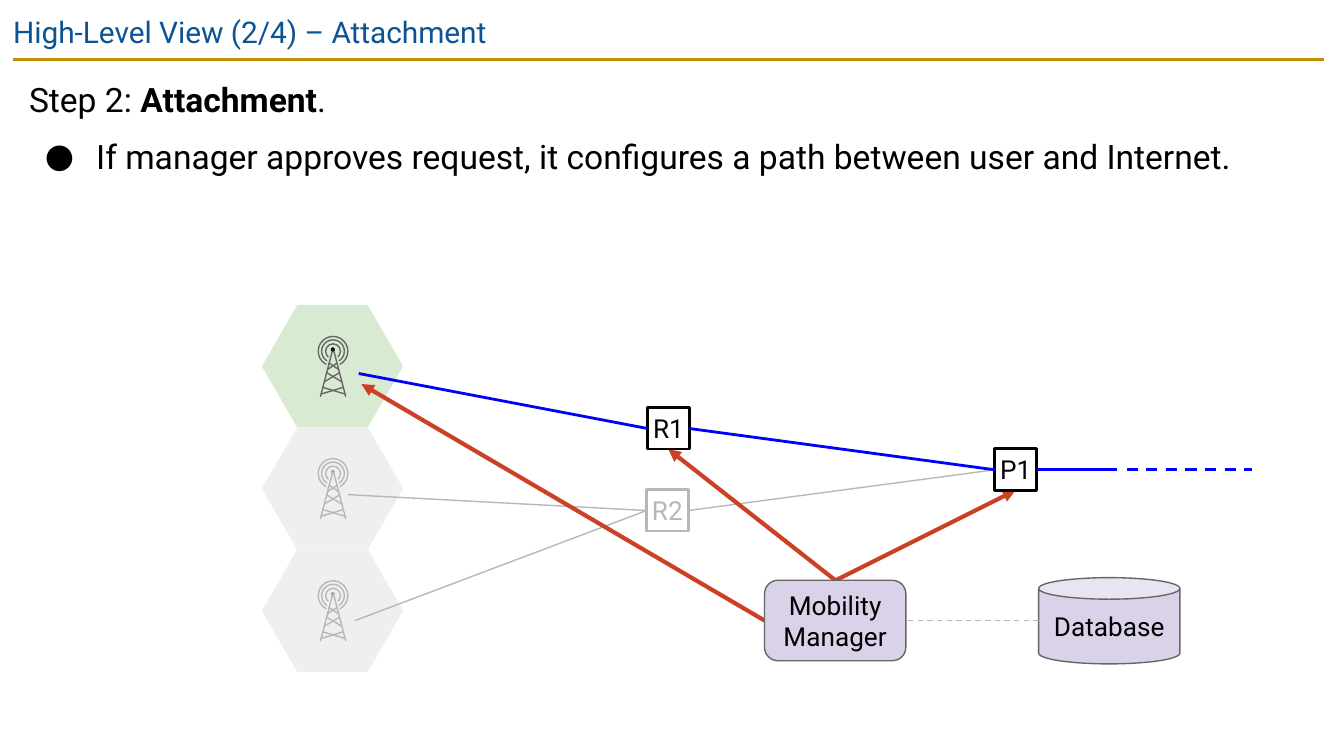
from lxml import etree
from pptx import Presentation
from pptx import util as u
from pptx.dml import color
from pptx.enum import dml, shapes, text
from pptx.oxml import ns

Cm, Pt = u.Cm, u.Pt
KIND = shapes.MSO_SHAPE
BLACK, WHITE, GREY, DARK = "000000", "FFFFFF", "B7B7B7", "666666"
BLUE, RED, LILAC = "0000FF", "CC4125", "D9D2E9"
FONT = "Roboto"


def rgb(value):
    return color.RGBColor.from_string(value)


def apply(obj, values):
    for name, value in values.items():
        setattr(obj, name, value)


def sub(parent, tag, **attrs):
    return etree.SubElement(parent, ns.qn(tag), attrs)


def set_margins(tf, margin):
    sides = ("left", "right", "top", "bottom")
    apply(tf, {f"margin_{side}": Cm(margin) for side in sides})


def add_run(p, words, size, tint, bold=False):
    r = p.add_run()
    r.text = words
    apply(r.font, {"name": FONT, "size": Pt(size), "bold": bold})
    r.font.color.rgb = rgb(tint)


def add_text(s, x, y, w, h):
    tf = s.shapes.add_textbox(Cm(x), Cm(y), Cm(w), Cm(h)).text_frame
    apply(tf, {"word_wrap": True, "vertical_anchor": text.MSO_ANCHOR.TOP})
    set_margins(tf, 0.25)
    return tf


def add_shape(parent, kind, box, fill=None, line=None, width=0.75, adj=()):
    sp = parent.shapes.add_shape(kind, *map(Cm, box))
    sp.shadow.inherit = False
    for i, value in enumerate(adj):
        sp.adjustments[i] = value
    if fill:
        sp.fill.solid()
        sp.fill.fore_color.rgb = rgb(fill)
    else:
        sp.fill.background()
    if line:
        sp.line.color.rgb = rgb(line)
        sp.line.width = Pt(width)
    else:
        sp.line.fill.background()
    return sp


def add_node(s, kind, box, label, fill, line, tint=BLACK, width=0.75,
             margin=0.25, adj=()):
    sp = add_shape(s, kind, box, fill, line, width, adj)
    tf = sp.text_frame
    apply(tf, {"word_wrap": True, "vertical_anchor": text.MSO_ANCHOR.MIDDLE})
    set_margins(tf, margin)
    p = tf.paragraphs[0]
    p.alignment = text.PP_ALIGN.CENTER
    add_run(p, label, 14, tint)


def add_router(s, x, y, label, tint=BLACK):
    add_node(s, KIND.RECTANGLE, (x, y, 0.79, 0.79), label, WHITE, tint, tint,
             width=1.5, margin=0)


def add_line(parent, start, end, tint, width=0.75, dashed=False, arrow=False):
    ln = parent.shapes.add_connector(shapes.MSO_CONNECTOR.STRAIGHT,
                                     *map(Cm, (*start, *end)))
    ln.line.color.rgb = rgb(tint)
    ln.line.width = Pt(width)
    if dashed:
        ln.line.dash_style = dml.MSO_LINE.DASH
    if arrow:
        sub(ln.line._get_or_add_ln(), "a:headEnd", type="triangle")
    sub(ln._element.spPr, "a:effectLst")


def add_tower(s, cx, top, tint, dot_fill, dot_line):
    g = s.shapes.add_group_shape()
    # Radio waves: circles open at the bottom
    for size, adj in ((0.56, (70.012, 38.01)), (0.43, (72.885, 35.076)),
                      (0.28, (77.257, 29.806))):
        box = (cx - size / 2, top + 0.87 - size / 2, size, size)
        add_shape(g, KIND.ARC, box, line=tint, adj=adj)
    # Legs and cross braces: half width and height at each end
    for x1, y1, x2, y2 in ((0, 0.81, 0.24, 1.73), (0.08, 1.09, 0.1, 1.21),
                           (0.13, 1.27, 0.17, 1.45), (0.2, 1.55, 0.23, 1.68)):
        for side in (-1, 1):
            add_line(g, (cx - side * x1, top + y1),
                     (cx + side * x2, top + y2), tint)
    add_shape(g, KIND.OVAL, (cx - 0.03, top + 0.81, 0.05, 0.05),
              dot_fill, dot_line)


def add_cells(s):
    left, top, w, h = 4.95, 5.77, 2.67, 2.31
    styles = (("D9EAD3", DARK, None, BLACK),
              ("EFEFEF", GREY, DARK, GREY),
              ("EFEFEF", GREY, DARK, GREY))
    for i, (fill, *tower) in enumerate(styles):
        y = top + i * h
        add_shape(s, KIND.HEXAGON, (left, y, w, h), fill, adj=(0.289,))
        add_tower(s, left + w / 2 + 0.01, y, *tower)


def add_header(s):
    add_line(s, (0.25, 1.12), (25.02, 1.12), "BF9000", 1.5)
    tf = add_text(s, 0, 0, 25.4, 1.09)
    add_run(tf.paragraphs[0], "High-Level View (2/4) – Attachment", 16, "0B5394")


def add_body(s):
    tf = add_text(s, 0.3, 1.12, 24.74, 4.11)
    p = tf.paragraphs[0]
    p.line_spacing = 1.15
    for words, bold in (("Step 2: ", False), ("Attachment", True), (".", False)):
        add_run(p, words, 18, BLACK, bold)

    p = tf.add_paragraph()
    apply(p, {"line_spacing": 1.15, "space_before": Pt(6)})
    pPr = p._p.get_or_add_pPr()
    pPr.set("marL", str(Cm(1.27)))
    pPr.set("indent", str(-Cm(0.97)))
    sub(sub(pPr, "a:buClr"), "a:srgbClr", val=BLACK)
    sub(pPr, "a:buFont", typeface=FONT)
    sub(pPr, "a:buChar", char="●")
    add_run(p, "If manager approves request, it configures a path between "
               "user and Internet.", 18, BLACK)


def main():
    prs = Presentation()
    apply(prs, {"slide_width": Cm(25.4), "slide_height": Cm(14.29)})
    s = prs.slides.add_slide(prs.slide_layouts[6])

    # Junction points shared by the links
    r1_in, r1_out, r1_base = (12.24, 8.1), (13.03, 8.1), (12.63, 8.49)
    r2_in, r2_out = (12.22, 9.65), (13.01, 9.65)
    p1_in, p1_out, p1_base = (18.8, 8.88), (19.59, 8.88), (19.19, 9.27)
    manager_top, manager_left = (15.79, 10.97), (14.45, 11.73)

    # Links behind the nodes
    add_line(s, r2_out, p1_in, GREY)
    for target in (p1_base, r1_base):
        add_line(s, target, manager_top, RED, 2.25, arrow=True)

    add_header(s)
    add_body(s)
    add_cells(s)

    # Routers and database
    add_router(s, 12.24, 7.7, "R1")
    add_router(s, 12.22, 9.25, "R2", GREY)
    add_router(s, 18.8, 8.48, "P1")
    add_node(s, KIND.CAN, (19.63, 10.92, 2.67, 1.63), "Database", LILAC, DARK,
             adj=(0.25,))

    # Unused links
    for tower in ((6.58, 9.35), (6.71, 11.73)):
        add_line(s, r2_in, tower, GREY)
    add_line(s, (19.63, 11.73), (17.12, 11.73), GREY, dashed=True)

    # User path to the Internet
    for start, end in ((r1_in, (6.78, 7.06)), (r1_out, p1_in),
                       (p1_out, (21.11, 8.88))):
        add_line(s, start, end, BLUE, 1.5)
    add_line(s, (21.29, 8.88), (23.67, 8.88), BLUE, 1.5, dashed=True)

    # Manager and its control of the tower
    add_line(s, (6.83, 7.26), manager_left, RED, 2.25, arrow=True)
    add_node(s, KIND.ROUNDED_RECTANGLE, (14.45, 10.97, 2.67, 1.52),
             "Mobility Manager", LILAC, DARK, adj=(0.167,))

    prs.save("out.pptx")


if __name__ == "__main__":
    main()
